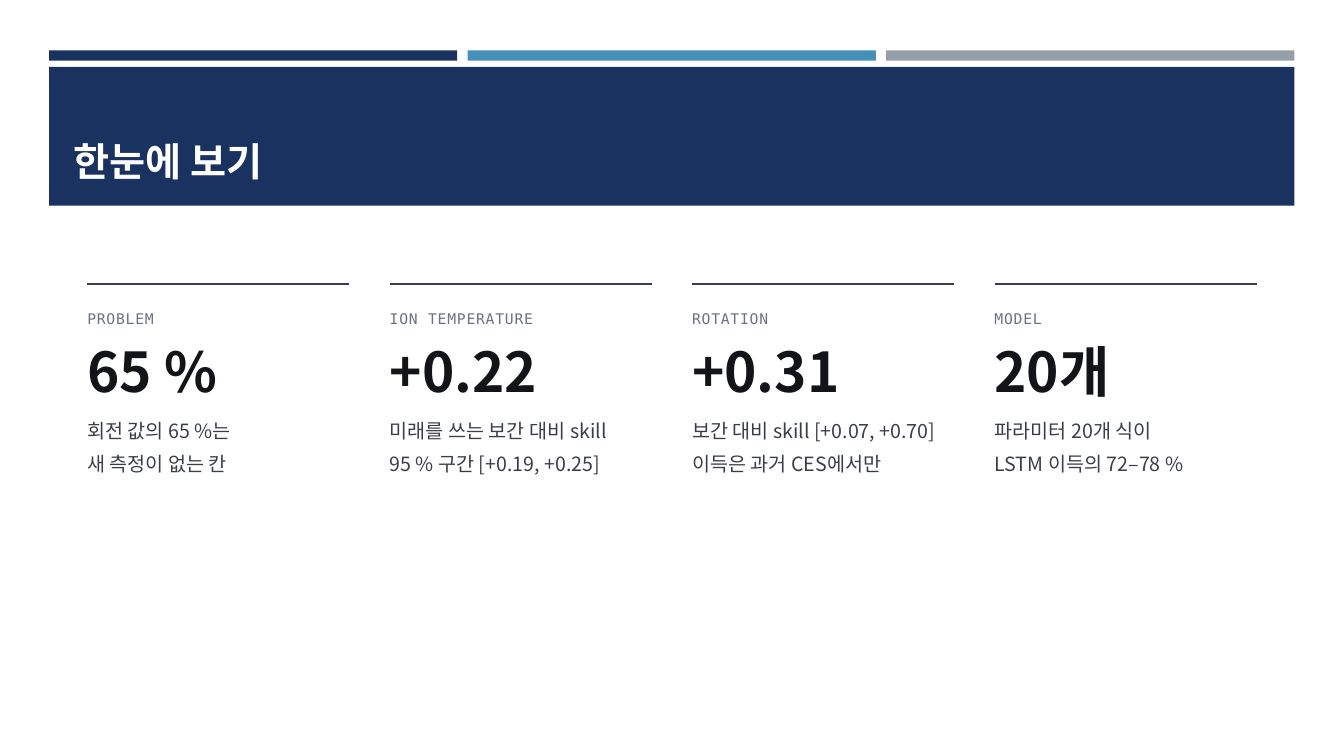
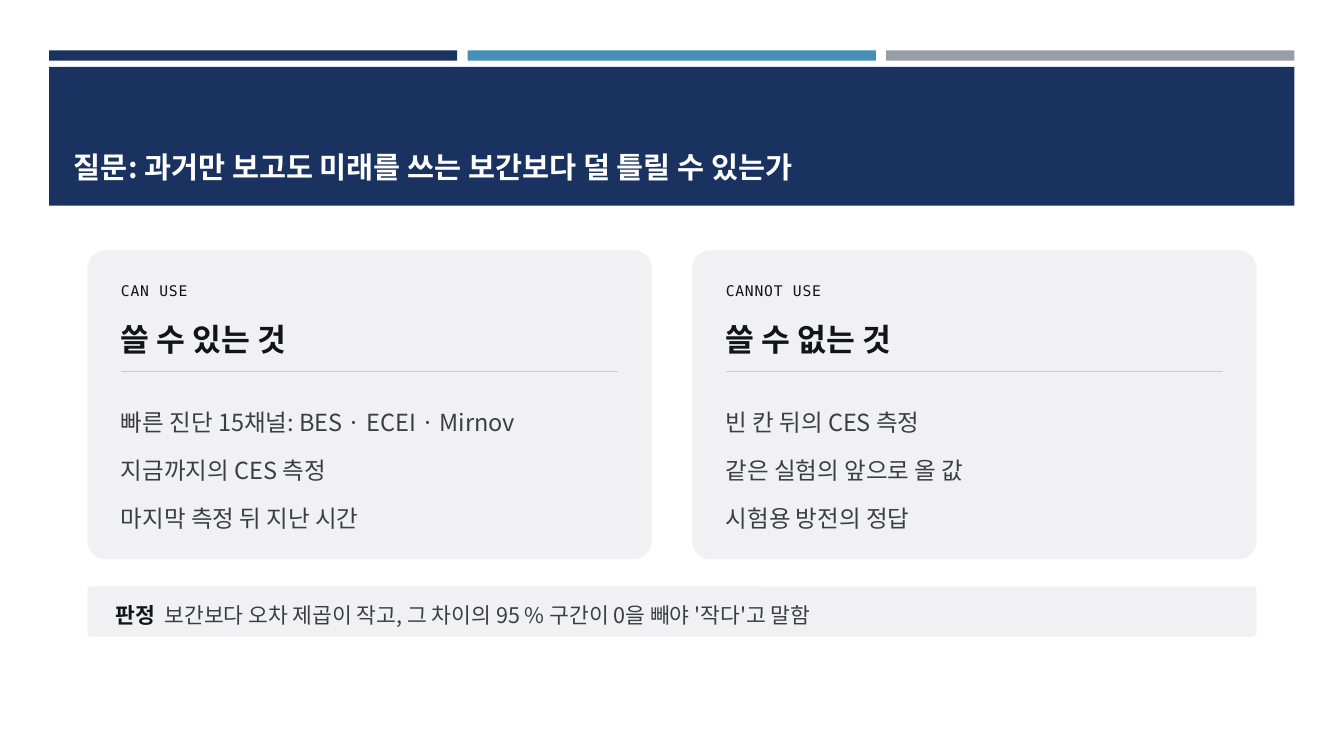
from lxml.etree import SubElement
from pptx import Presentation
from pptx.dml.color import RGBColor as Rgb
from pptx.enum.shapes import MSO_CONNECTOR as Link, MSO_SHAPE as Form
from pptx.enum.text import MSO_ANCHOR as Anchor, MSO_AUTO_SIZE as Fit, PP_ALIGN as Align
from pptx.oxml.ns import qn
from pptx.util import Pt

HUES = {
    "navy": "1A3260", "blue": "4590B8", "gray": "969FA7", "white": "FFFFFF",
    "ink": "121418", "body": "3A3F47", "mute": "6B7280",
    "card": "F1F1F4", "rule": "C9CDD3",
}
SANS, MONO = "Noto Sans CJK KR", "DejaVu Sans Mono"

# Text formats: font attributes, plus hue and letter gap in points
HEAD = {"name": SANS, "size": Pt(28), "bold": True, "hue": "white"}
ASK = {**HEAD, "size": Pt(21)}
TAG = {"name": MONO, "size": Pt(10.5), "hue": "mute", "gap": 0.6}
DARK = {**TAG, "hue": "ink"}
STAT = {"name": SANS, "size": Pt(39.2), "bold": True, "hue": "ink"}
NOTE = {"name": SANS, "size": Pt(14), "hue": "body"}
NAME = {"name": SANS, "size": Pt(22.4), "bold": True, "hue": "ink"}
ITEM = {"name": SANS, "size": Pt(16.8), "hue": "body"}
LEAD = {"name": SANS, "size": Pt(15.4), "bold": True, "hue": "ink"}
TAIL = {**LEAD, "bold": False, "hue": "body"}

# Shared boxes: left, top, width, height
BAND = (35, 36, 889.6, 7.4)
BANNER = (35, 47.8, 889.6, 99.2)
TITLE = (45.6, 57.6, 868, 77.8)
LEFT, WIDE, GAP = 62.4, 835.2, 28.8

STATS = [
    ("PROBLEM", "65 %", ["회전 값의 65 %는", "새 측정이 없는 칸"]),
    ("ION TEMPERATURE", "+0.22", ["미래를 쓰는 보간 대비 skill", "95 % 구간 [+0.19, +0.25]"]),
    ("ROTATION", "+0.31", ["보간 대비 skill [+0.07, +0.70]", "이득은 과거 CES에서만"]),
    ("MODEL", "20개", ["파라미터 20개 식이", "LSTM 이득의 72–78 %"]),
]
CARDS = [
    ("CAN USE", "쓸 수 있는 것",
     ["빠른 진단 15채널: BES · ECEI · Mirnov", "지금까지의 CES 측정", "마지막 측정 뒤 지난 시간"]),
    ("CANNOT USE", "쓸 수 없는 것",
     ["빈 칸 뒤의 CES 측정", "같은 실험의 앞으로 올 값", "시험용 방전의 정답"]),
]
RULING = "보간보다 오차 제곱이 작고, 그 차이의 95 % 구간이 0을 빼야 '작다'고 말함"


def tint(key):
    return Rgb.from_string(HUES[key])


def split(left, wide, count, gap):
    """Left edges and width of equal columns."""
    width = (wide - gap * (count - 1)) / count
    return [left + n * (width + gap) for n in range(count)], width


def place(shape, box):
    for key, val in zip(("left", "top", "width", "height"), box):
        setattr(shape, key, Pt(val))


def add_run(para, text, form):
    run = para.add_run()
    run.text = text
    for key, val in form.items():
        if key not in ("hue", "gap"):
            setattr(run.font, key, val)
    run.font.color.rgb = tint(form["hue"])
    props = run._r.get_or_add_rPr()
    if "gap" in form:
        props.set("spc", str(round(form["gap"] * 100)))
    SubElement(props, qn("a:ea")).set("typeface", form["name"])


def fill_text(frame, lines, form, space=None):
    """Write one paragraph a line, flush left, without bullets."""
    frame.word_wrap = True
    frame.auto_size = Fit.NONE
    for n, line in enumerate(lines):
        para = frame.add_paragraph() if n else frame.paragraphs[0]
        props = para._p.get_or_add_pPr()
        props.set("marL", "0")
        props.set("indent", "0")
        SubElement(props, qn("a:buNone"))
        para.alignment = Align.LEFT
        para.space_before = Pt(0)
        if space:
            para.line_spacing = space
        add_run(para, line, form)


def trim(frame, left=0):
    for key, val in {"left": left, "top": 0, "right": 0, "bottom": 0}.items():
        setattr(frame, "margin_" + key, Pt(val))


def add_text(slide, box, lines, form, space=None):
    frame = slide.shapes.add_textbox(*map(Pt, box)).text_frame
    trim(frame)
    fill_text(frame, lines, form, space)


def add_box(slide, box, hue, form=Form.RECTANGLE, curve=None):
    shape = slide.shapes.add_shape(form, *map(Pt, box))
    shape.shadow.inherit = False
    shape.fill.solid()
    shape.fill.fore_color.rgb = tint(hue)
    shape.line.fill.background()
    if curve is not None:
        shape.adjustments[0] = curve
    return shape


def add_rule(slide, left, top, width, hue, weight):
    line = slide.shapes.add_connector(
        Link.STRAIGHT, Pt(left), Pt(top), Pt(left + width), Pt(top))
    line.line.color.rgb = tint(hue)
    line.line.width = Pt(weight)
    SubElement(line._element.spPr, qn("a:effectLst"))


def dress(master, slide):
    """Draw the bands and banner, then move them to the master."""
    left, top, wide, high = BAND
    edges, width = split(left, wide, 3, 7.4)
    parts = [add_box(slide, (x, top, width, high), hue)
             for x, hue in zip(edges, ("navy", "blue", "gray"))]
    parts.append(add_box(slide, BANNER, "navy"))
    for n, part in enumerate(parts):
        part._element.nvSpPr.cNvPr.set("id", str(100 + n))
        master.shapes._spTree.insert(2 + n, part._element)


def add_title(slide, text, form):
    title = slide.shapes.title
    place(title, TITLE)
    title.text_frame.vertical_anchor = Anchor.BOTTOM
    fill_text(title.text_frame, [text], form)


def add_stat(slide, left, top, width, stat):
    tag, value, notes = stat
    add_rule(slide, left, top, width, "body", 1.25)
    add_text(slide, (left, top + 15.2, width, 16.6), [tag], TAG, 1.25)
    add_text(slide, (left, top + 38.2, width, 62.6), [value], STAT)
    add_text(slide, (left, top + 89.4, width, 86.4), notes, NOTE, 1.4)


def add_card(slide, box, card, body):
    left, top, width, high = box
    tag, name, items = card
    add_box(slide, box, "card", Form.ROUNDED_RECTANGLE, 0.06)
    left, width = left + 24, width - 48
    add_text(slide, (left, top + 19.6, width, 16.6), [tag], DARK, 1.25)
    add_text(slide, (left, top + 43.4, width, 33.8), [name], NAME, 1.25)
    add_rule(slide, left, top + 86.6, width, "rule", 1)
    # The list goes in front of its card
    slide.shapes._spTree.append(body._element)
    place(body, (left, top + 98.8, width, 115.2))
    trim(body.text_frame)
    fill_text(body.text_frame, items, ITEM, 1.7)


def add_ruling(slide, box):
    bar = add_box(slide, box, "card", Form.ROUNDED_RECTANGLE, 0.08)
    frame = bar.text_frame
    trim(frame, 19.2)
    frame.vertical_anchor = Anchor.MIDDLE
    fill_text(frame, ["판정"], LEAD, 1.25)
    add_run(frame.paragraphs[0], " ", {**LEAD, "gap": 3.4})
    add_run(frame.paragraphs[0], RULING, TAIL)


def main():
    deck = Presentation()
    deck.slide_width, deck.slide_height = Pt(960), Pt(540)
    looks = deck.slide_layouts

    # Key figures
    slide = deck.slides.add_slide(looks[5])
    dress(deck.slide_master, slide)
    add_title(slide, "한눈에 보기", HEAD)
    edges, width = split(LEFT, WIDE, len(STATS), GAP)
    for left, stat in zip(edges, STATS):
        add_stat(slide, left, 203, width, stat)

    # Question with two cards
    slide = deck.slides.add_slide(looks[3])
    add_title(slide, "질문: 과거만 보고도 미래를 쓰는 보간보다 덜 틀릴 수 있는가", ASK)
    edges, width = split(LEFT, WIDE, len(CARDS), GAP)
    bodies = list(slide.placeholders)[1:]
    for left, card, body in zip(edges, CARDS, bodies):
        add_card(slide, (left, 178.6, width, 221), card, body)
    add_ruling(slide, (LEFT, 418.8, WIDE, 36))

    deck.save("out.pptx")


if __name__ == "__main__":
    main()
